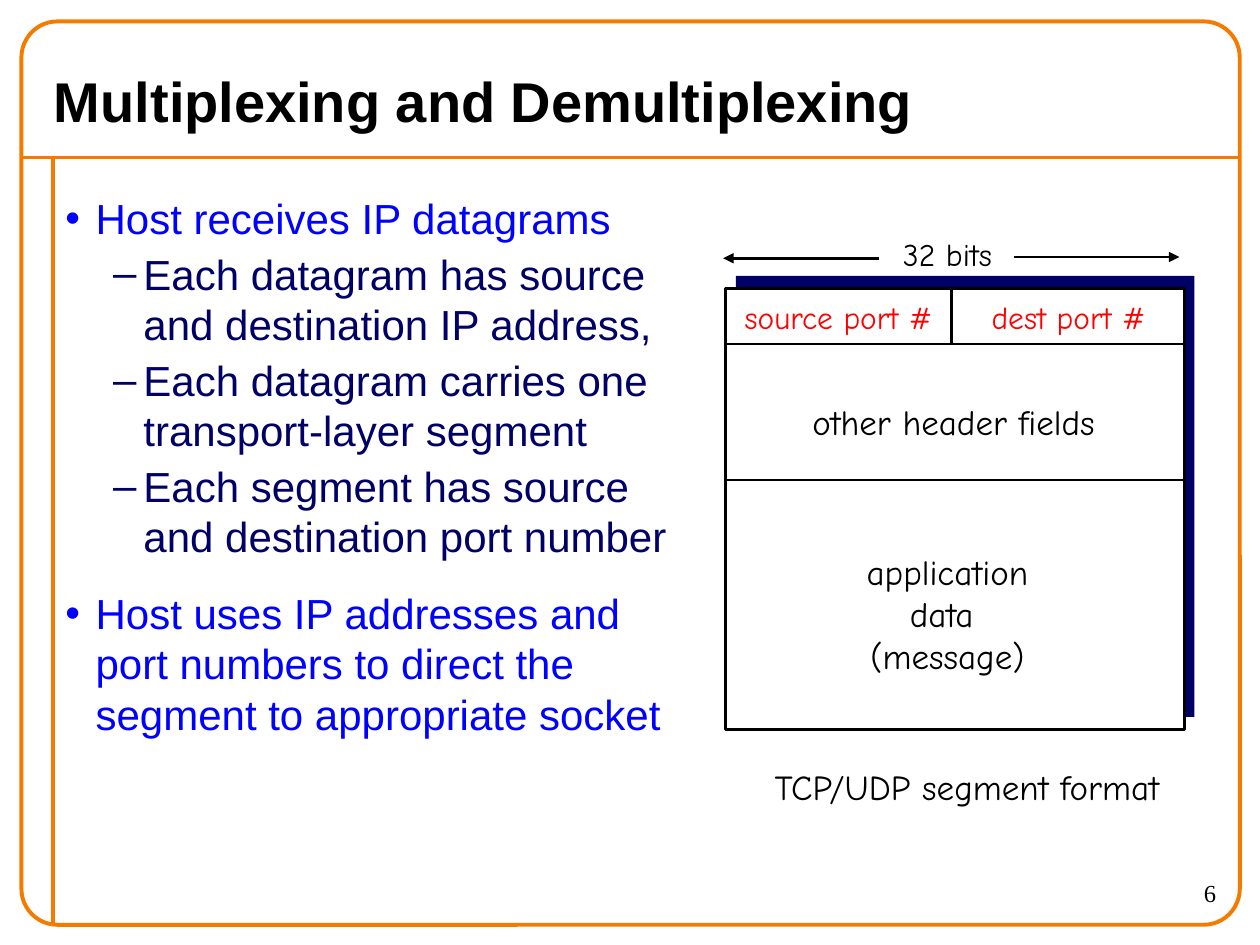
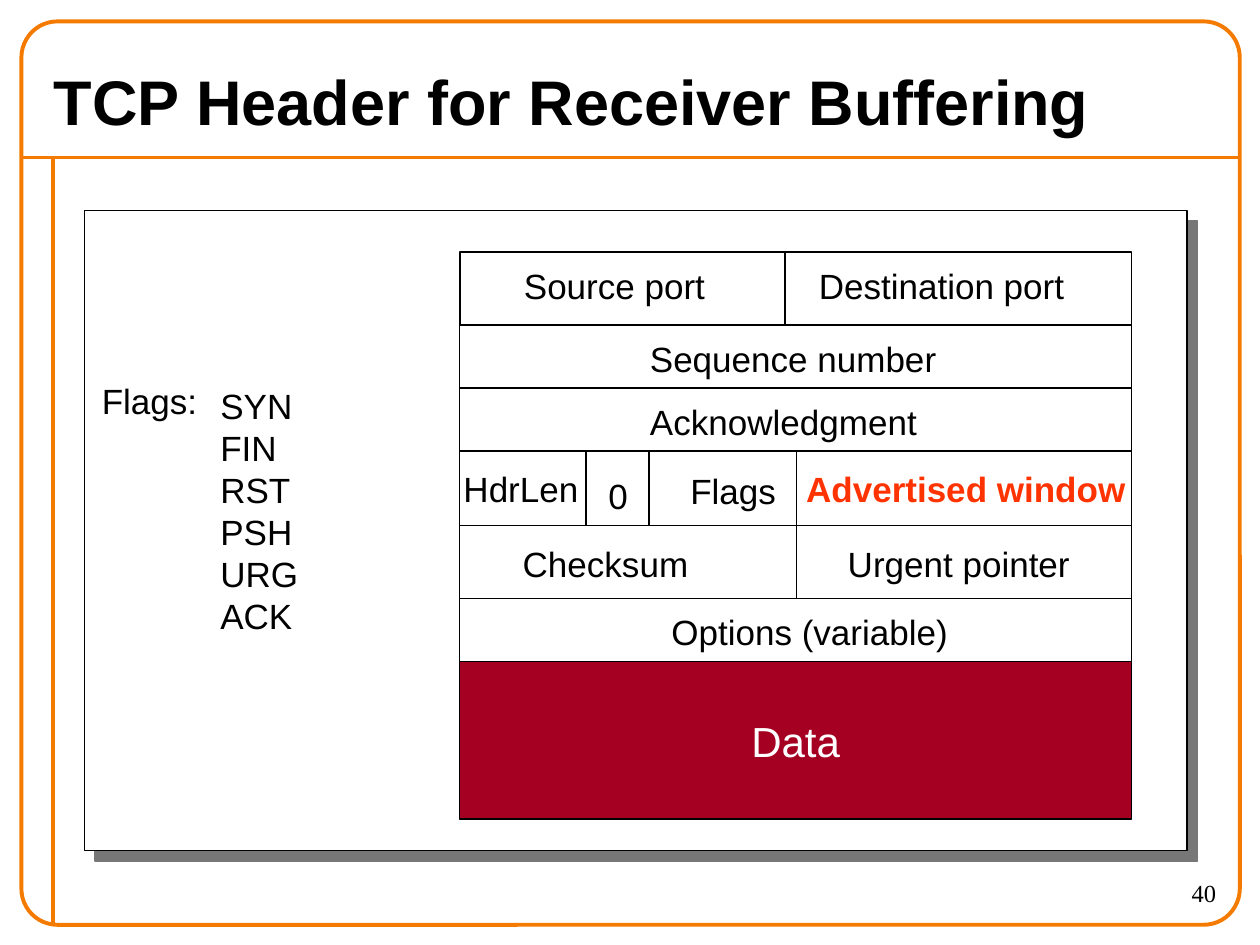
from lxml.etree import SubElement
from pptx import Presentation
from pptx.dml.color import RGBColor
from pptx.enum.shapes import MSO_CONNECTOR, MSO_SHAPE
from pptx.enum.text import MSO_ANCHOR, PP_ALIGN
from pptx.oxml.ns import qn
from pptx.util import Inches, Pt

COLORS = {
    "frame": "F47A00",
    "black": "000000",
    "white": "FFFFFF",
    "navy": "000066",
    "blue": "0000FF",
    "red": "FF0000",
    "orange_red": "FF3300",
    "crimson": "A50021",
    "gray": "777777",
}
SANS = "Arial"
COMIC = "Comic Neue"
LABEL_SLACK = 0.1

BULLETS = {
    0: {"mark": "•", "margin": 0.24, "before": 15, "color": "blue"},
    1: {"mark": "–", "margin": 0.62, "before": 3, "color": "navy"},
}
HANGING = 0.24

HOST_POINTS = [
    (0, "Host receives IP datagrams"),
    (1, "Each datagram has source and destination IP address,"),
    (1, "Each datagram carries one transport-layer segment"),
    (1, "Each segment has source and destination port number"),
    (0, "Host uses IP addresses and port numbers to direct the segment to appropriate socket"),
]

SEGMENT_LABELS = [
    (["source port #"], (5.81, 2.32, 1.69, 0.4), 18, "red"),
    (["dest port #"], (7.77, 2.32, 1.42, 0.4), 18, "red"),
    (["32 bits"], (7.07, 1.82, 0.9, 0.4), 18, "black"),
    (["application", "data ", "(message)"], (6.78, 4.32, 1.48, 1.1), 20, "black"),
    (["other header fields"], (6.35, 3.13, 2.44, 0.44), 20, "black"),
    (["TCP/UDP segment format"], (6.03, 6.03, 3.29, 0.44), 20, "black"),
]

HEADER_LEFT, HEADER_TOP, HEADER_WIDTH = 3.65, 2, 5.33
HEADER_ROWS = [(0.58, 2.58), (0.5, None), (0.5, None), (0.59, 2.67), (0.58, 2.67), (0.5, None)]
DATA_HEIGHT = 1.25

HEADER_LABELS = [
    ("Source port", 4.06, 2.05, 1.64),
    ("Destination port", 6.4, 2.05, 2.15),
    ("Sequence number", 5.06, 2.63, 2.47),
    ("Acknowledgment", 5.06, 3.13, 2.32),
    ("HdrLen", 3.58, 3.66, 1.11),
    ("Flags", 5.38, 3.68, 0.88),
    ("0", 4.73, 3.72, 0.35),
    ("Checksum", 4.05, 4.26, 1.51),
    ("Urgent pointer", 6.63, 4.26, 1.96),
    ("Options (variable)", 5.23, 4.8, 2.39),
    ("Flags:", 0.71, 2.96, 0.96),
]
FLAG_NAMES = ["SYN", "FIN", "RST", "PSH", "URG", "ACK"]


def rgb(color):
    return RGBColor.from_string(COLORS[color])


def apply(target, values):
    for name, value in values.items():
        setattr(target, name, value)


def add_span(para, text, size, color="black", font=SANS, bold=False):
    span = para.add_run()
    span.text = text
    apply(span.font, {"size": Pt(size), "name": font, "bold": bold})
    span.font.color.rgb = rgb(color)


def write_lines(frame, lines, align=PP_ALIGN.LEFT, **style):
    for index, line in enumerate(lines):
        para = frame.add_paragraph() if index else frame.paragraphs[0]
        para.alignment = align
        add_span(para, line, **style)


def add_text(page, lines, place, anchor=MSO_ANCHOR.TOP, align=PP_ALIGN.LEFT, **style):
    box = page.shapes.add_textbox(*map(Inches, place))
    apply(box.text_frame, {"word_wrap": True, "vertical_anchor": anchor})
    write_lines(box.text_frame, lines, align, **style)


def add_label(page, lines, place, align=PP_ALIGN.LEFT, **style):
    left, top, width, height = place
    if align == PP_ALIGN.CENTER:
        left -= LABEL_SLACK / 2
    add_text(page, lines, (left, top, width + LABEL_SLACK, height), align=align, **style)


def add_box(page, place, fill=None, line="black", width=0.75, kind=MSO_SHAPE.RECTANGLE):
    box = page.shapes.add_shape(kind, *map(Inches, place))
    box.shadow.inherit = False
    if fill:
        box.fill.solid()
        box.fill.fore_color.rgb = rgb(fill)
    else:
        box.fill.background()
    if line:
        box.line.color.rgb = rgb(line)
        box.line.width = Pt(width)
    else:
        box.line.fill.background()
    return box


def add_line(page, start, end, color="black", width=1.5, arrow=False):
    line = page.shapes.add_connector(MSO_CONNECTOR.STRAIGHT, *map(Inches, start + end))
    line.line.color.rgb = rgb(color)
    line.line.width = Pt(width)
    if arrow:
        SubElement(line.line._get_or_add_ln(), qn("a:tailEnd"), type="triangle")
    SubElement(line._element.spPr, qn("a:effectLst"))


def cast_shadow(box, color, distance):
    effects = box._element.spPr.find(qn("a:effectLst"))
    shadow = SubElement(effects, qn("a:outerShdw"), dist=str(Pt(distance)),
                        dir="2700000", algn="ctr", rotWithShape="0")
    SubElement(shadow, qn("a:srgbClr"), val=COLORS[color])


def add_bullets(page, points, place):
    box = page.shapes.add_textbox(*map(Inches, place))
    box.text_frame.word_wrap = True
    for index, (level, text) in enumerate(points):
        bullet = BULLETS[level]
        para = box.text_frame.add_paragraph() if index else box.text_frame.paragraphs[0]
        properties = para._p.get_or_add_pPr()
        properties.set("marL", str(Inches(bullet["margin"])))
        properties.set("indent", str(-Inches(HANGING)))
        mark_color = SubElement(properties, qn("a:buClr"))
        SubElement(mark_color, qn("a:srgbClr"), val=COLORS[bullet["color"]])
        SubElement(properties, qn("a:buFont"), typeface=SANS)
        SubElement(properties, qn("a:buChar"), char=bullet["mark"])
        before = Pt(bullet["before"] if index else 0)
        apply(para, {"level": level, "space_before": before})
        add_span(para, text, 24, bullet["color"])


def add_page(deck, title, title_size, number):
    page = deck.slides.add_slide(deck.slide_layouts[6])
    add_line(page, (0.17, 1.25), (9.83, 1.25), "frame", 2.25)
    add_line(page, (0.42, 1.25), (0.42, 7.33), "frame", 2.25)
    border = add_box(page, (0.17, 0.17, 9.67, 7.17), None, "frame", 2.25,
                     MSO_SHAPE.ROUNDED_RECTANGLE)
    border.adjustments[0] = 0.04
    add_text(page, [title], (0.33, 0.42, 8.82, 0.75), MSO_ANCHOR.MIDDLE,
             size=title_size, bold=True)
    add_text(page, [str(number)], (8.75, 6.92, 1, 0.42), align=PP_ALIGN.RIGHT,
             size=14, font="Times New Roman")
    return page


def add_segment(page):
    add_box(page, (5.84, 2.19, 3.64, 3.5), "navy", None)
    add_box(page, (5.76, 2.29, 3.64, 3.5), "white", width=1.5)
    for top in (2.73, 3.81):
        add_line(page, (5.76, top), (9.4, top))
    add_line(page, (7.55, 2.73), (7.55, 2.29))
    add_line(page, (8.05, 2.04), (9.36, 2.04), arrow=True)
    add_line(page, (6.98, 2.05), (5.74, 2.05), arrow=True)
    for lines, place, size, color in SEGMENT_LABELS:
        add_label(page, lines, place, PP_ALIGN.CENTER, size=size, color=color, font=COMIC)


def add_header(page):
    panel = add_box(page, (0.67, 1.67, 8.75, 5.08), "white")
    cast_shadow(panel, "gray", 8.5)
    top = HEADER_TOP
    for height, split in HEADER_ROWS:
        widths = [split, HEADER_WIDTH - split] if split else [HEADER_WIDTH]
        left = HEADER_LEFT
        for width in widths:
            add_box(page, (left, top, width, height))
            left += width
        top += height
    data = add_box(page, (HEADER_LEFT, top, HEADER_WIDTH, DATA_HEIGHT), "crimson")
    apply(data.text_frame, {"word_wrap": True, "vertical_anchor": MSO_ANCHOR.MIDDLE})
    write_lines(data.text_frame, ["Data"], PP_ALIGN.CENTER, size=24, color="white")
    for left in (4.65, 5.15):
        add_line(page, (left, 3.58), (left, 4.17), width=0.75)
    for text, left, label_top, width in HEADER_LABELS:
        add_label(page, [text], (left, label_top, width, 0.44), size=20)
    add_label(page, ["Advertised window"], (6.3, 3.66, 2.73, 0.44),
              size=20, color="orange_red", bold=True)
    add_label(page, FLAG_NAMES, (1.65, 3, 0.82, 2.1), size=20)


def main():
    deck = Presentation()
    apply(deck, {"slide_width": Inches(10), "slide_height": Inches(7.5)})
    page = add_page(deck, "Multiplexing and Demultiplexing", 32, 6)
    add_bullets(page, HOST_POINTS, (0.42, 1.48, 5.08, 5.5))
    add_segment(page)
    page = add_page(deck, "TCP Header for Receiver Buffering", 36, 40)
    add_header(page)
    deck.save("out.pptx")


if __name__ == "__main__":
    main()
